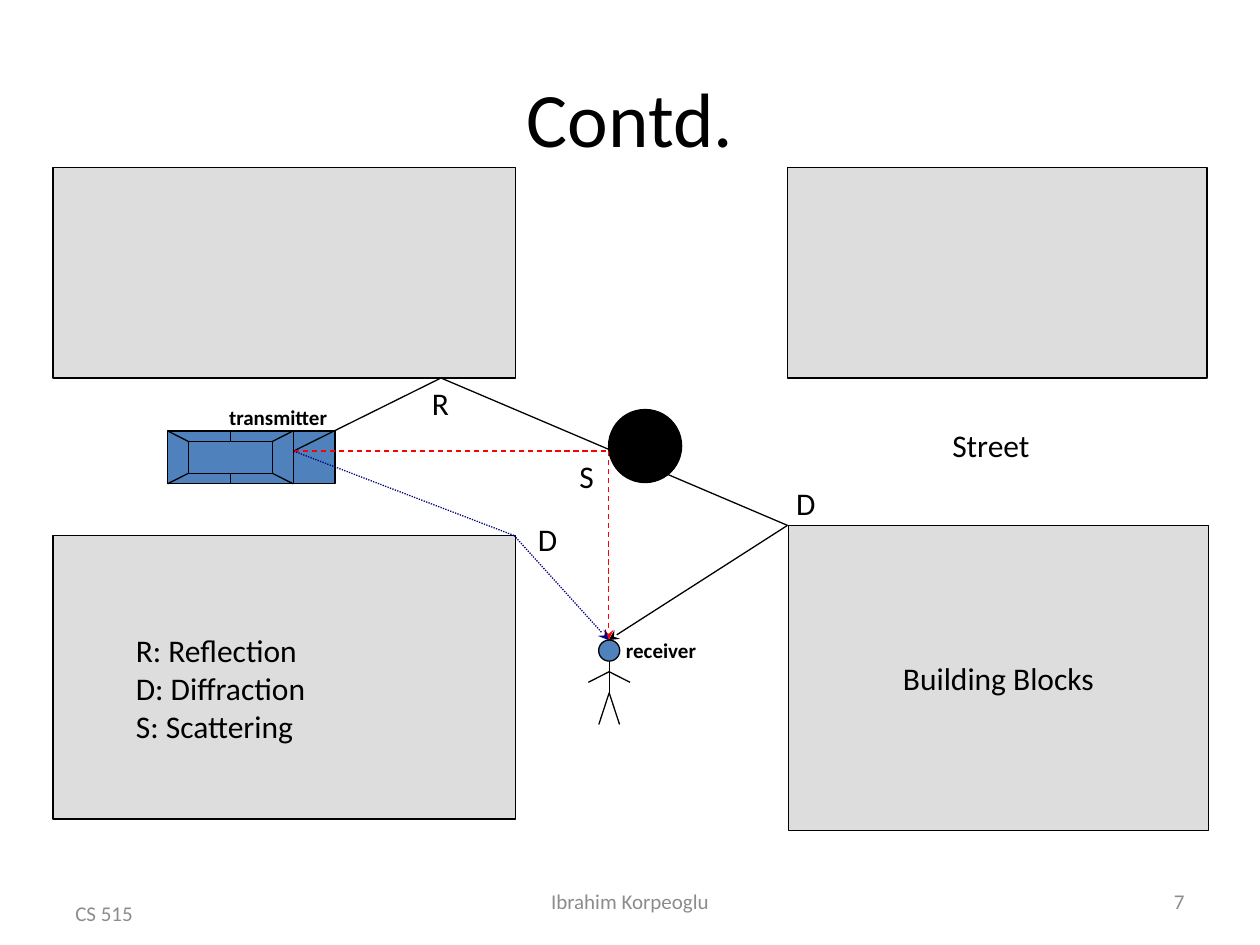
from dataclasses import dataclass

from lxml import etree
from pptx import Presentation
from pptx.dml.color import RGBColor
from pptx.enum.dml import MSO_LINE_DASH_STYLE as DASH
from pptx.enum.shapes import MSO_CONNECTOR, MSO_SHAPE
from pptx.enum.text import MSO_ANCHOR as ANCHOR, PP_ALIGN as ALIGN
from pptx.oxml.ns import qn
from pptx.util import Inches, Pt


@dataclass(frozen=True)
class Theme:
    font: str = "Calibri"
    ink: str = "000000"
    muted: str = "8C8C8C"
    block: str = "DDDDDD"
    accent: str = "4F81BD"
    scatter: str = "FF0000"
    diffract: str = "000080"
    title: int = 44
    body: int = 18
    small: int = 12
    line: float = 0.75


T = Theme()


def set_all(obj, values):
    for name, value in values.items():
        setattr(obj, name, value)


def write(tf, text, size=T.body, color=T.ink, bold=False, align=ALIGN.LEFT,
          anchor=ANCHOR.TOP, wrap=False):
    set_all(tf, {"word_wrap": wrap, "vertical_anchor": anchor})
    for i, line in enumerate(text.split("\n")):
        p = tf.paragraphs[0] if i == 0 else tf.add_paragraph()
        p.alignment = align
        r = p.add_run()
        r.text = line
        set_all(r.font, {"name": T.font, "size": Pt(size), "bold": bold})
        r.font.color.rgb = RGBColor.from_string(color)


def add_label(s, text, box, **style):
    tf = s.shapes.add_textbox(*map(Inches, box)).text_frame
    write(tf, text, **style)
    return tf


def add_shape(s, kind, box, fill):
    sp = s.shapes.add_shape(kind, *map(Inches, box))
    sp.shadow.inherit = False
    sp.fill.solid()
    sp.fill.fore_color.rgb = RGBColor.from_string(fill)
    sp.line.color.rgb = RGBColor.from_string(T.ink)
    sp.line.width = Pt(T.line)
    return sp


def add_lines(s, points, color=T.ink, dash=None, arrow=False):
    for start, end in zip(points, points[1:]):
        c = s.shapes.add_connector(MSO_CONNECTOR.STRAIGHT, *map(Inches, start + end))
        c.line.color.rgb = RGBColor.from_string(color)
        set_all(c.line, {"width": Pt(T.line), "dash_style": dash})
        if arrow and end == points[-1]:
            etree.SubElement(c.line._get_or_add_ln(), qn("a:tailEnd"), type="stealth")
        etree.SubElement(c._element.spPr, qn("a:effectLst"))


def add_title(s, text, box):
    title = s.shapes.title
    set_all(title, dict(zip(("left", "top", "width", "height"), map(Inches, box))))
    write(title.text_frame, text, size=T.title, align=ALIGN.CENTER,
          anchor=ANCHOR.MIDDLE, wrap=True)


def add_footer(s, box):
    x, y, w, h = box
    style = {"size": T.small, "color": T.muted, "anchor": ANCHOR.MIDDLE, "wrap": True}
    course = add_label(s, "CS 515", (x, y, 2.33, h), **style)
    course.margin_top = Inches(0.25)
    add_label(s, "Ibrahim Korpeoglu", (x + (w - 3.17) / 2, y, 3.17, h),
              align=ALIGN.CENTER, **style)
    add_label(s, "7", (x + w - 2.33, y, 2.33, h), align=ALIGN.RIGHT, **style)


def add_block(s, box, text=None):
    sp = add_shape(s, MSO_SHAPE.RECTANGLE, box, T.block)
    if text:
        write(sp.text_frame, text, align=ALIGN.CENTER, anchor=ANCHOR.MIDDLE)


def add_car(s, box):
    x, y, w, h = box
    inset, side = w / 8, h / 5
    roof_l, roof_r, hood = x + inset, x + w * 5 / 8, x + w * 3 / 4
    middle = x + w * 3 / 8
    add_shape(s, MSO_SHAPE.RECTANGLE, box, T.accent)
    add_shape(s, MSO_SHAPE.RECTANGLE,
              (roof_l, y + side, roof_r - roof_l, h - 2 * side), T.accent)
    add_lines(s, [(hood, y), (hood, y + h)])
    for edge, roof in ((y, y + side), (y + h, y + h - side)):
        add_lines(s, [(roof_r, roof), (hood, edge)])
        add_lines(s, [(x, edge), (roof_l, roof)])
        add_lines(s, [(middle, edge), (middle, roof)])


def add_person(s, box):
    x, y, w, h = box
    cx, head = x + w / 2, h / 4
    neck, shoulder, hip = y + head, y + h * 3 / 8, y + h * 5 / 8
    add_shape(s, MSO_SHAPE.OVAL, (cx - head / 2, y, head, head), T.accent)
    add_lines(s, [(cx, neck), (cx, hip)])
    for side in (-1, 1):
        add_lines(s, [(cx, hip), (cx + side * w / 4, y + h)])
        add_lines(s, [(cx, shoulder), (cx + side * w / 2, y + h / 2)])


def add_paths(s, sender, receiver):
    corner = (4.08, 4.25)
    scatterer = (receiver[0], sender[1])
    wall, far_corner = (3.5, 3), (6.25, 4.17)
    add_lines(s, [sender, wall, far_corner, receiver], arrow=True)
    add_lines(s, [sender, scatterer, receiver], T.scatter, DASH.DASH, True)
    add_lines(s, [sender, corner, receiver], T.diffract, DASH.ROUND_DOT, True)


def add_street(s):
    for box in ((0.42, 4.25, 3.67, 2.25), (0.42, 1.33, 3.67, 1.67),
                (6.25, 1.33, 3.33, 1.67)):
        add_block(s, box)
    add_block(s, (6.26, 4.17, 3.33, 2.42), "Building Blocks")
    add_shape(s, MSO_SHAPE.OVAL, (4.83, 3.25, 0.58, 0.58), T.ink)
    add_car(s, (1.33, 3.42, 1.33, 0.42))
    add_paths(s, (2.33, 3.58), (4.83, 5.08))
    add_person(s, (4.67, 5.08, 0.33, 0.67))


def add_labels(s):
    for text, box in (("D", (4.17, 4.08, 0.38, 0.4)),
                      ("R", (3.33, 3, 0.38, 0.4)),
                      ("S", (4.5, 3.58, 0.37, 0.4)),
                      ("D", (6.22, 3.79, 0.38, 0.4)),
                      ("Street", (7.46, 3.33, 0.87, 0.4)),
                      ("R: Reflection\nD: Diffraction\nS: Scattering",
                       (0.98, 4.96, 1.65, 1))):
        add_label(s, text, box)
    for text, box in (("transmitter", (1.72, 3.16, 1.07, 0.3)),
                      ("receiver", (4.87, 5.01, 0.84, 0.3))):
        add_label(s, text, box, size=T.small, bold=True)


def main():
    prs = Presentation()
    set_all(prs, {"slide_width": Inches(10), "slide_height": Inches(7.5)})
    s = prs.slides.add_slide(prs.slide_layouts[5])
    add_footer(s, (0.5, 6.95, 9, 0.4))
    add_title(s, "Contd.", (0.5, 0.3, 9, 1.25))
    add_street(s)
    add_labels(s)
    prs.save("out.pptx")


if __name__ == "__main__":
    main()
